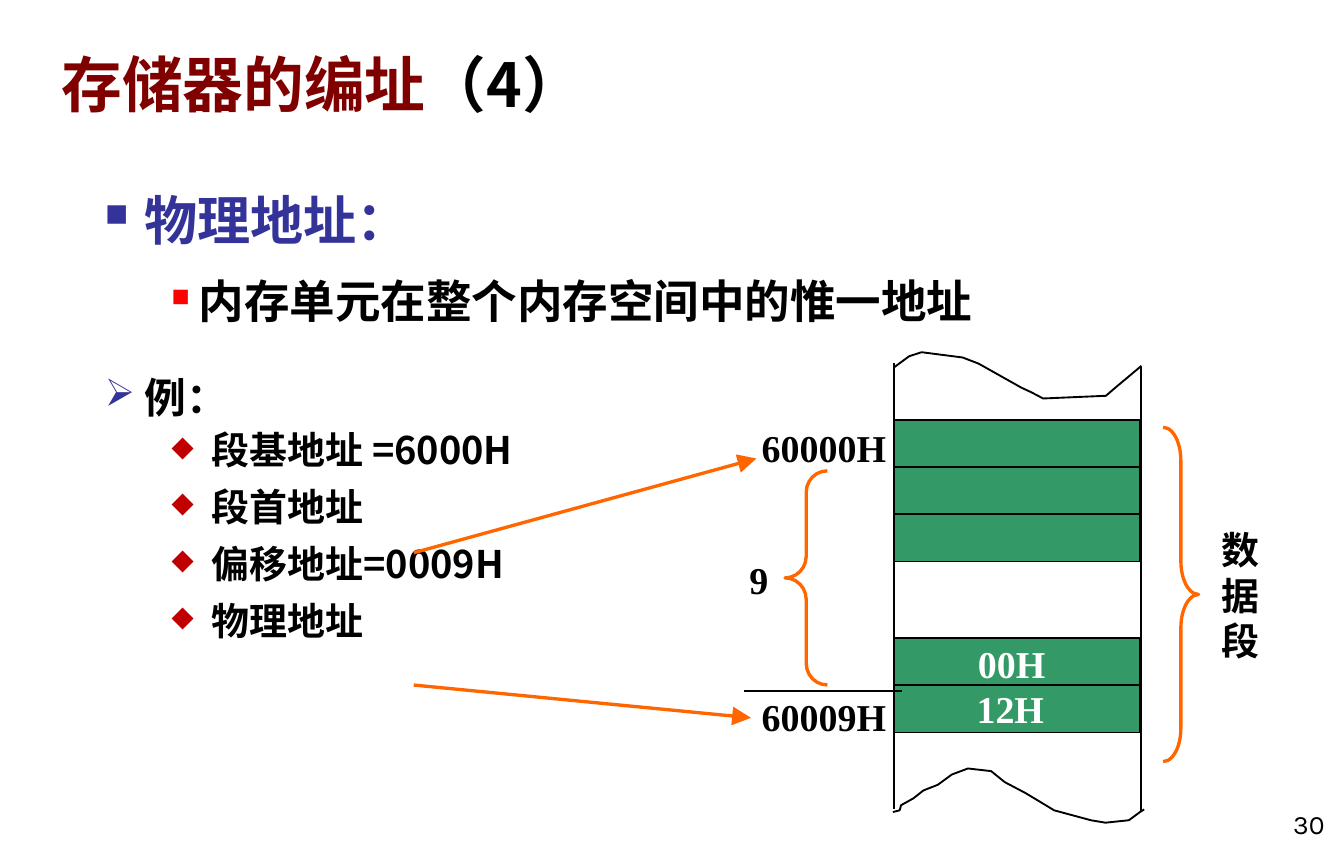
"""Build the slide on physical memory addresses with its data segment diagram."""
from lxml import etree
from pptx import Presentation
from pptx.dml.color import RGBColor
from pptx.enum.shapes import MSO_CONNECTOR, MSO_SHAPE
from pptx.enum.text import MSO_ANCHOR, PP_ALIGN
from pptx.oxml.ns import qn
from pptx.util import Pt

STRAIGHT = MSO_CONNECTOR.STRAIGHT
RECTANGLE = MSO_SHAPE.RECTANGLE
LEFT_BRACE, RIGHT_BRACE = MSO_SHAPE.LEFT_BRACE, MSO_SHAPE.RIGHT_BRACE
LEFT, CENTER, RIGHT = PP_ALIGN.LEFT, PP_ALIGN.CENTER, PP_ALIGN.RIGHT
TOP, BOTTOM = MSO_ANCHOR.TOP, MSO_ANCHOR.BOTTOM
BLACK = RGBColor(0x00, 0x00, 0x00)
WHITE = RGBColor(0xFF, 0xFF, 0xFF)
MAROON = RGBColor(0x80, 0x00, 0x00)
INDIGO = RGBColor(0x33, 0x33, 0x99)
RED = RGBColor(0xFF, 0x00, 0x00)
CRIMSON = RGBColor(0xC0, 0x00, 0x00)
GREEN = RGBColor(0x33, 0x99, 0x66)
ORANGE = RGBColor(0xFF, 0x66, 0x00)
HEI, ROMAN, KARLA = "Noto Sans CJK SC", "Times New Roman", "Karla"


def set_font(paragraph, size, color, typeface=HEI, bold=True):
    font = paragraph.font
    font.size, font.bold = Pt(size), bold
    font.color.rgb = color
    font.name = typeface
    etree.SubElement(font._element, qn("a:ea"), typeface=typeface)


def set_outline(part, color, width):
    part.line.color.rgb = color
    part.line.width = Pt(width)
    etree.SubElement(part._element.spPr, qn("a:effectLst"))


prs = Presentation()
prs.slide_width, prs.slide_height = Pt(708.75), Pt(450)
slide = prs.slides.add_slide(prs.slide_layouts[5])
shapes = slide.shapes

title = shapes.title
title.left, title.top, title.width, title.height = Pt(25.2), Pt(15.1), Pt(604), Pt(51.8)
title.text_frame.vertical_anchor = BOTTOM
heading = title.text_frame.paragraphs[0]
heading.alignment = LEFT
set_font(heading, 32, MAROON)
heading.add_run().text = "存储器的编址"
lecture_part = heading.add_run()
lecture_part.text = "（4）"
lecture_part.font.color.rgb = BLACK

DIAMOND = ("◆", CRIMSON, 76)
outlines = [
    ((48.2, 88.6, 507.6, 89.3), 1.2, [
        ("物理地址：", 0, 0, 28, INDIGO, 21, 21, ("■", INDIGO, 60)),
        ("内存单元在整个内存空间中的惟一地址", 1, 6, 24, BLACK, 49.5, 14.4, ("■", RED, 55)),
    ]),
    ((48.2, 190.1, 298, 189.4), 1.1, [
        ("例：", 0, 0, 22, BLACK, 21, 21, ("➢", INDIGO, 92)),
        ("段基地址 =6000H", 1, 0, 20, BLACK, 56.2, 21, DIAMOND),
        *[(item, 1, 3.6, 20, BLACK, 56.2, 21, DIAMOND)
          for item in ("段首地址", "偏移地址=0009H", "物理地址")],
    ]),
]
for place, spacing, items in outlines:
    frame = shapes.add_textbox(*map(Pt, place)).text_frame
    frame.word_wrap = True
    for index, (text, level, gap, size, color, margin, hanging, bullet) in enumerate(items):
        item = frame.add_paragraph() if index else frame.paragraphs[0]
        item.text, item.level = text, level
        item.line_spacing, item.space_before = spacing, Pt(gap)
        symbol, symbol_color, percent = bullet
        props = item._p.get_or_add_pPr()
        props.set("marL", str(Pt(margin)))
        props.set("indent", str(-Pt(hanging)))
        bullet_color = etree.SubElement(props, qn("a:buClr"))
        etree.SubElement(bullet_color, qn("a:srgbClr"), val=str(symbol_color))
        etree.SubElement(props, qn("a:buSzPct"), val=str(percent * 1000))
        etree.SubElement(props, qn("a:buChar"), char=symbol)
        set_font(item, size, color)

CELL_LEFT, CELL_WIDTH, CELL_HEIGHT = 471.6, 129.8, 24.9
for block_top, count in ((221.6, 3), (336.7, 2)):
    for row in range(count):
        cell = shapes.add_shape(RECTANGLE, Pt(CELL_LEFT), Pt(block_top + row * CELL_HEIGHT),
                                Pt(CELL_WIDTH), Pt(CELL_HEIGHT))
        cell.fill.solid()
        cell.fill.fore_color.rgb = GREEN
        set_outline(cell, BLACK, 1)

torn_edges = [
    [(471.6, 193.7), (479.5, 187.9), (486, 185.8), (507.6, 188.6), (516, 191.8),
     (538.6, 204.5), (544, 207), (550.1, 210.2), (583.2, 208.8), (588.2, 204.5), (601.9, 193)],
    [(470.9, 428.4), (474.5, 427.5), (475.2, 424.8), (481.7, 421.2), (487, 417), (494.6, 414),
     (502, 408.6), (510.5, 405.4), (522.7, 406.8), (529.9, 412.6), (540.7, 418.3),
     (556, 427.5), (575.3, 432.7), (583, 434), (595.4, 432.7), (601.2, 428.4), (603.4, 427)],
]
for edge in torn_edges:
    builder = shapes.build_freeform(*map(Pt, edge[0]))
    builder.add_line_segments([(Pt(x), Pt(y)) for x, y in edge[1:]], close=False)
    torn = builder.convert_to_shape()
    torn.fill.background()
    set_outline(torn, BLACK, 1)

for kind, place, curl in ((RIGHT_BRACE, (613.4, 225.4, 18.7, 176.4), 0.94),
                          (LEFT_BRACE, (414, 248.4, 22.3, 113), 0.51)):
    brace = shapes.add_shape(kind, *map(Pt, place))
    brace.adjustments[0] = curl
    brace.fill.background()
    set_outline(brace, ORANGE, 1.75)

rules = [
    (471.6, 191.5, 471.6, 427, False),
    (601.9, 193.7, 601.9, 428.4, False),
    (392.4, 364.7, 475.9, 364.7, False),
    (218.2, 361.4, 396, 378.7, True),
    (218.2, 291.6, 398.9, 241.9, True),
]
for *ends, is_arrow in rules:
    rule = shapes.add_connector(STRAIGHT, *map(Pt, ends))
    set_outline(rule, ORANGE if is_arrow else BLACK, 1.75 if is_arrow else 1)
    if is_arrow:
        etree.SubElement(rule.line._get_or_add_ln(), qn("a:tailEnd"),
                         type="triangle", w="lg", len="lg")

labels = [
    ("60000H", (394.6, 220.3, 94.3, 31.7), LEFT, BLACK, ROMAN),
    ("60009H", (394.6, 362.6, 94.3, 31.7), LEFT, BLACK, ROMAN),
    ("9", (388.1, 290.2, 31.7, 31.7), LEFT, BLACK, ROMAN),
    ("00H", (501.1, 334.4, 64.8, 31.7), CENTER, WHITE, ROMAN),
    ("12H", (500.4, 358.2, 64.8, 31.7), CENTER, WHITE, ROMAN),
    ("数据段", (637.2, 274.3, 35.3, 79.9), LEFT, BLACK, HEI),
    ("30", (655.9, 416.2, 49.7, 30.2), RIGHT, BLACK, KARLA),
]
for text, place, alignment, color, typeface in labels:
    frame = shapes.add_textbox(*map(Pt, place)).text_frame
    is_page_number = typeface == KARLA
    frame.word_wrap = True
    frame.vertical_anchor = BOTTOM if is_page_number else TOP
    label = frame.paragraphs[0]
    label.text, label.alignment = text, alignment
    set_font(label, 14 if is_page_number else 20, color, typeface, not is_page_number)

prs.save("out.pptx")
